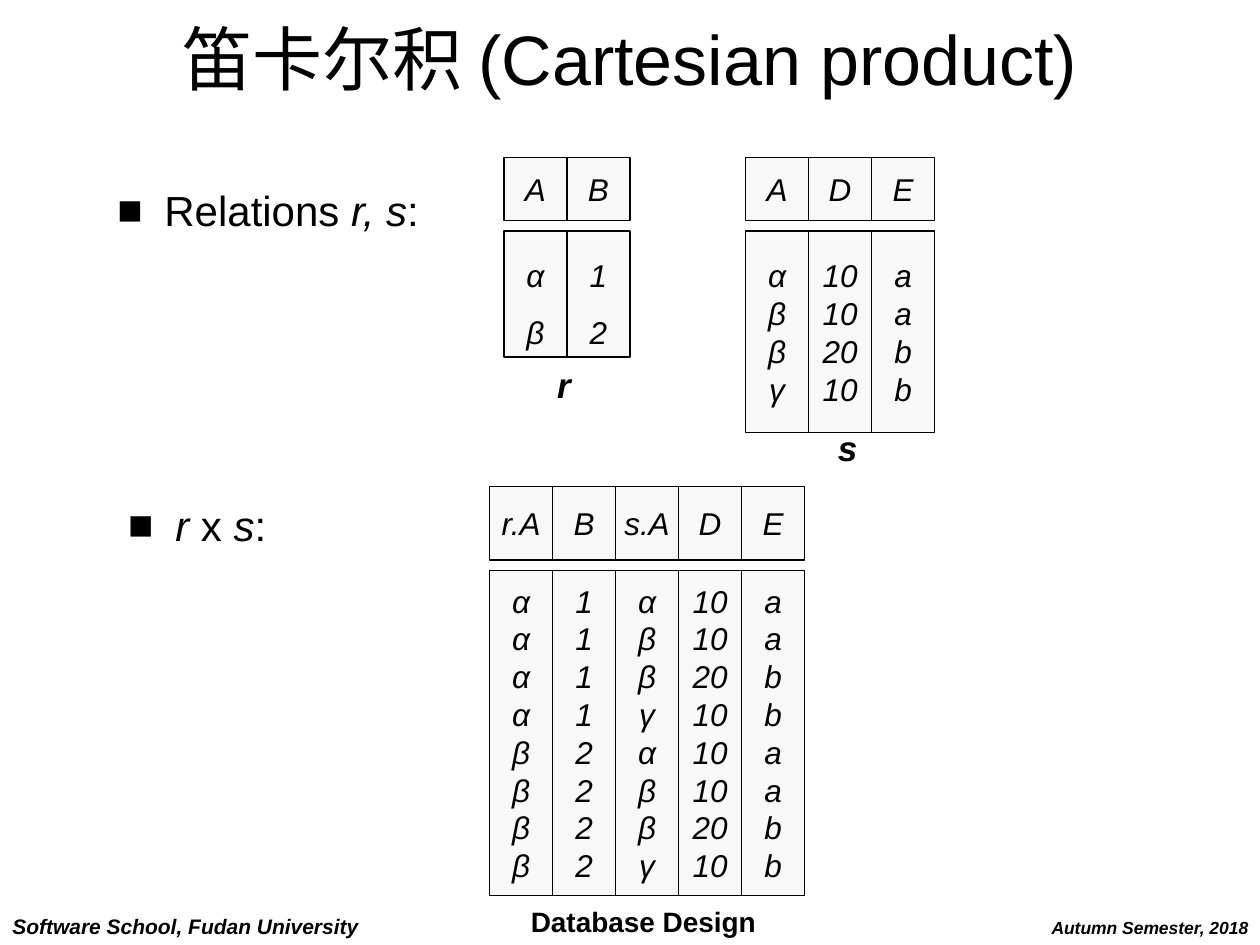
from dataclasses import dataclass
from itertools import product

from lxml.etree import SubElement
from pptx import Presentation
from pptx.dml.color import RGBColor
from pptx.enum.shapes import MSO_SHAPE
from pptx.enum.text import MSO_ANCHOR, MSO_AUTO_SIZE, PP_ALIGN
from pptx.oxml.ns import qn
from pptx.util import Cm, Pt


@dataclass(frozen=True)
class Theme:
    font: str = "Arial"
    ink: RGBColor = RGBColor(0, 0, 0)
    cell: RGBColor = RGBColor(0xF8, 0xF8, 0xF8)
    line: Pt = Pt(0.75)
    title: Pt = Pt(40)
    body: Pt = Pt(24)
    label: Pt = Pt(20)
    entry: Pt = Pt(18)
    course: Pt = Pt(16)
    school: Pt = Pt(12)
    term: Pt = Pt(10)


THEME = Theme()
COLUMN = 1.27
GAP = 0.21
R_ROWS = [("α", "1"), ("β", "2")]
S_ROWS = [("α", "10", "a"), ("β", "10", "a"), ("β", "20", "b"), ("γ", "10", "b")]


def apply(target, formats):
    for name, value in formats.items():
        setattr(target, name, value)


def place(box, left, top, width, height):
    apply(box, {"left": Cm(left), "top": Cm(top), "width": Cm(width), "height": Cm(height)})


def add_span(para, text, size, bold=False, italic=False):
    span = para.add_run()
    span.text = text
    apply(span.font, {"name": THEME.font, "size": size, "bold": bold, "italic": italic})
    span.font.color.rgb = THEME.ink


def set_title(page, text):
    box = page.shapes.title
    place(box, 1.27, 0, 22.86, 2.32)
    apply(box.text_frame, {"vertical_anchor": MSO_ANCHOR.MIDDLE, "auto_size": MSO_AUTO_SIZE.NONE})
    para = box.text_frame.paragraphs[0]
    para.alignment = PP_ALIGN.CENTER
    add_span(para, text, THEME.title)


def set_bullet(box, left, top, parts):
    place(box, left, top, 19.53, 0.91)
    apply(box.text_frame, {"vertical_anchor": MSO_ANCHOR.TOP, "auto_size": MSO_AUTO_SIZE.NONE})
    para = box.text_frame.paragraphs[0]
    props = para._p.get_or_add_pPr()
    props.set("marL", str(Cm(0.95)))
    props.set("indent", str(-Cm(0.95)))
    colour = SubElement(props, qn("a:buClr"))
    SubElement(colour, qn("a:srgbClr")).set("val", str(THEME.ink))
    SubElement(props, qn("a:buChar")).set("char", "■")
    para.space_before = Pt(0)
    for text, italic in parts:
        add_span(para, text, THEME.body, italic=italic)


def add_cell(page, left, top, height, lines, spacing):
    box = page.shapes.add_shape(
        MSO_SHAPE.RECTANGLE, Cm(left), Cm(top), Cm(COLUMN), Cm(height))
    box.shadow.inherit = False
    box.fill.solid()
    box.fill.fore_color.rgb = THEME.cell
    box.line.color.rgb = THEME.ink
    box.line.width = THEME.line
    frame = box.text_frame
    apply(frame, {"word_wrap": False, "vertical_anchor": MSO_ANCHOR.MIDDLE})
    for index, text in enumerate(lines):
        para = frame.add_paragraph() if index else frame.paragraphs[0]
        apply(para, {"alignment": PP_ALIGN.CENTER, "line_spacing": spacing})
        add_span(para, text, THEME.entry, italic=True)


def add_relation(page, left, top, names, rows, head_height, body_height, spacing=None):
    for index, (name, values) in enumerate(zip(names, zip(*rows))):
        x = left + index * COLUMN
        add_cell(page, x, top, head_height, [name], None)
        add_cell(page, x, top + head_height + GAP, body_height, values, spacing)


def add_caption(page, left, top, width, height, text, size, italic=True,
                align=PP_ALIGN.CENTER, anchor=MSO_ANCHOR.TOP):
    box = page.shapes.add_textbox(Cm(left), Cm(top), Cm(width), Cm(height))
    apply(box.text_frame, {"word_wrap": False, "vertical_anchor": anchor,
                           "auto_size": MSO_AUTO_SIZE.SHAPE_TO_FIT_TEXT})
    para = box.text_frame.paragraphs[0]
    para.alignment = align
    add_span(para, text, size, bold=True, italic=italic)


def main():
    deck = Presentation()
    apply(deck, {"slide_width": Cm(25.4), "slide_height": Cm(19.05)})
    page = deck.slides.add_slide(deck.slide_layouts[3])

    add_caption(page, 20.93, 18.36, 4.5, 0.69, "Autumn Semester, 2018", THEME.term)
    add_caption(page, 10.37, 18.12, 5.2, 0.94, "Database Design", THEME.course, italic=False)
    add_caption(page, 0, 18.29, 7.5, 0.76, "Software School, Fudan University",
                THEME.school, align=PP_ALIGN.LEFT)

    set_title(page, "笛卡尔积 (Cartesian product)")
    relations, result = list(page.placeholders)[1:]
    set_bullet(relations, 2.11, 3.6, [("Relations ", False), ("r, s", True), (":", False)])
    set_bullet(result, 2.33, 9.95, [("r", True), (" x ", False), ("s", True), (":", False)])

    pairs = [first + second for first, second in product(R_ROWS, S_ROWS)]
    add_relation(page, 10.16, 3.18, "AB", R_ROWS, 1.27, 2.54, spacing=1.5)
    add_relation(page, 9.87, 9.81, ["r.A", "B", "s.A", "D", "E"], pairs, 1.48, 6.55)
    add_relation(page, 15.03, 3.18, "ADE", S_ROWS, 1.27, 4.06)

    for text, left, top, width in [("r", 10.97, 7.2, 0.8), ("s", 16.64, 8.47, 0.9)]:
        add_caption(page, left, top, width, 1.12, text, THEME.label, anchor=MSO_ANCHOR.MIDDLE)

    deck.save("out.pptx")


if __name__ == "__main__":
    main()
